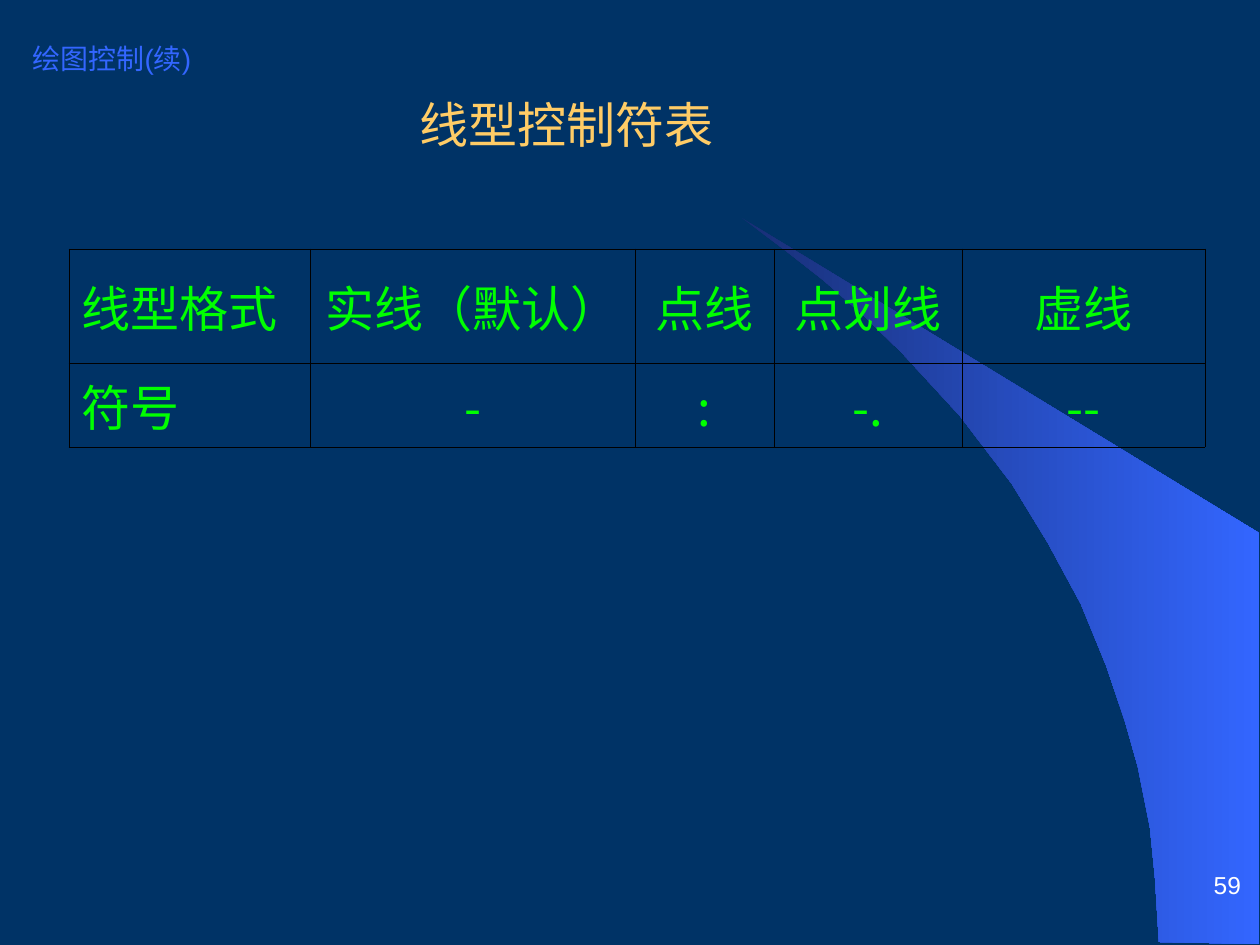
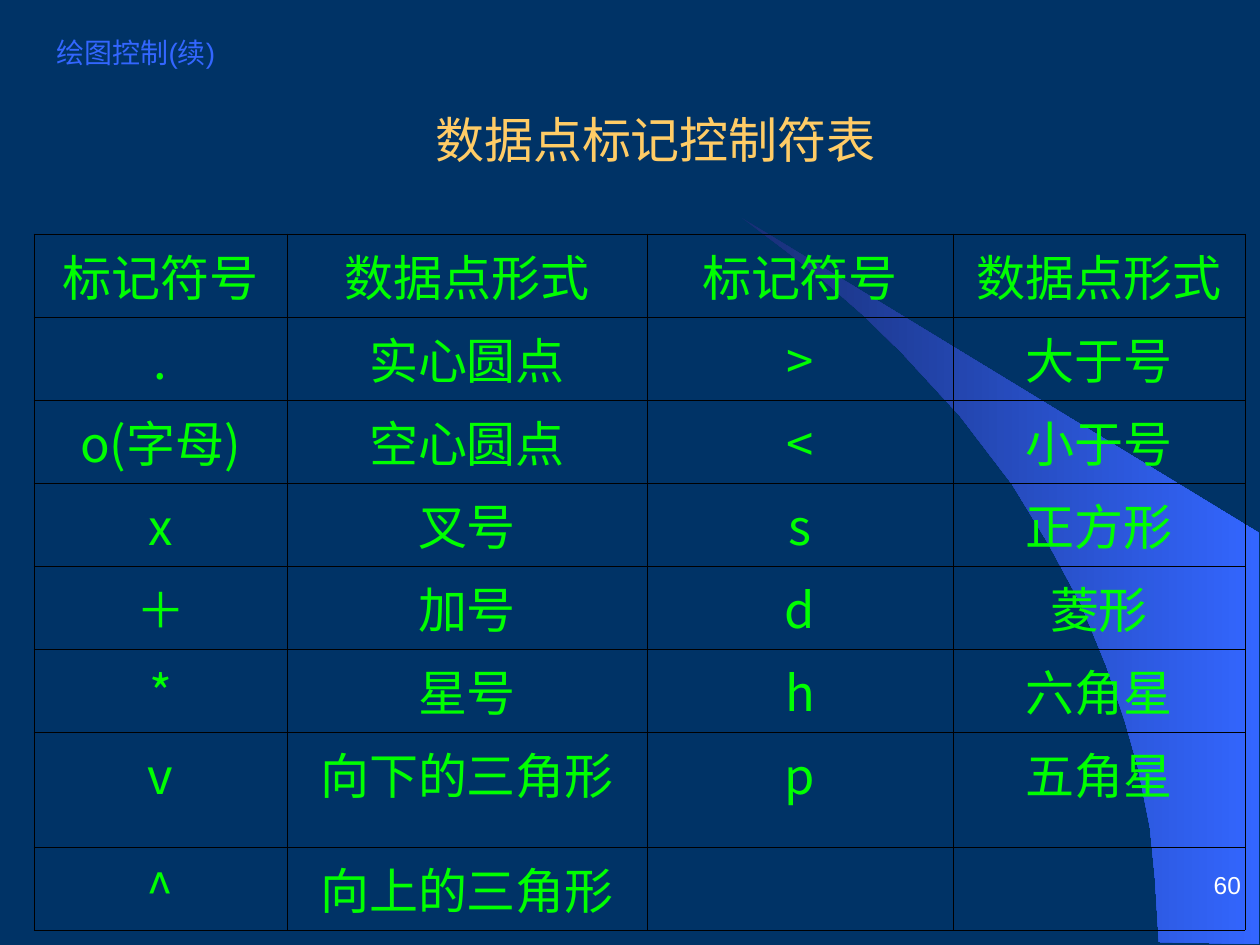
from dataclasses import dataclass

from lxml import etree
from pptx import Presentation
from pptx.dml.color import RGBColor
from pptx.enum.text import MSO_ANCHOR, PP_ALIGN
from pptx.oxml.ns import qn
from pptx.util import Emu, Pt

LEFT, CENTER, RIGHT = PP_ALIGN.LEFT, PP_ALIGN.CENTER, PP_ALIGN.RIGHT
TOP, MIDDLE, BOTTOM = MSO_ANCHOR.TOP, MSO_ANCHOR.MIDDLE, MSO_ANCHOR.BOTTOM


@dataclass(frozen=True)
class Style:
    font: str
    size: int
    color: str


class Theme:
    back = "003366"
    wave = ("182F76", "3366FF")
    grid = "000000"
    rule = Pt(0.45)
    asian = "Noto Sans CJK SC"
    topic = Style("Arial", 16, "3366FF")
    head = Style("Times New Roman", 28, "FFCC66")
    cell = Style("Noto Sans CJK SC", 28, "00FF00")
    page = Style("Arial", 14, "FFFFFF")


TOPIC = "绘图控制(续)"
SLIDES = [
    {
        "topic": (20, 32),
        "head": ("线型控制符表", (304, 95), 0.9),
        "page": "59",
        "table": {
            "at": (69, 249),
            "cols": [241, 325, 139, 188, 243],
            "rows": [114, 84],
            "anchor": MIDDLE,
            "first": LEFT,
            "cells": [
                ["线型格式", "实线（默认）", "点线", "点划线", "虚线"],
                ["符号", "-", ":", "-.", "--"],
            ],
        },
    },
    {
        "topic": (44, 26),
        "head": ("数据点标记控制符表", (393, 115), 0.8),
        "page": "60",
        "table": {
            "at": (34, 234),
            "cols": [253, 360, 306, 292],
            "rows": [83] * 6 + [115, 83],
            "anchor": TOP,
            "first": CENTER,
            "cells": [
                ["标记符号", "数据点形式", "标记符号", "数据点形式"],
                [".", "实心圆点", ">", "大于号"],
                ["o(字母)", "空心圆点", "<", "小于号"],
                ["x", "叉号", "s", "正方形"],
                ["＋", "加号", "d", "菱形"],
                ["*", "星号", "h", "六角星"],
                ["v", "向下的三角形", "p", "五角星"],
                ["^", "向上的三角形", "", ""],
            ],
        },
    },
]

WAVE = [
    (1159, 942), (1259, 944), (1259, 533), (742, 218), (786, 251), (823, 280),
    (863, 315), (902, 353), (960, 416), (1012, 484), (1048, 543), (1081, 604),
    (1106, 665), (1125, 721), (1138, 767), (1150, 827), (1155, 877),
]
WIDE, HIGH = 1260, 945
SCALE = 914400 / 126
TOPIC_SIZE = (1114, 52)
HEAD_SIZE = (525, 66)
PAGE_BOX = (992, 847, 262, 53)


def px(num):
    return Emu(round(num * SCALE))


def rgb(code):
    return RGBColor.from_string(code)


def write(para, text, style, align):
    para.alignment = align
    run = para.add_run()
    run.text = text
    run.font.name = style.font
    run.font.size = Pt(style.size)
    run.font.color.rgb = rgb(style.color)
    asian = etree.SubElement(run.font._element, qn("a:ea"))
    asian.set("typeface", Theme.asian)


def label(slide, box, text, style, align, anchor, pad=(13, 6)):
    frame = slide.shapes.add_textbox(*map(px, box)).text_frame
    frame.word_wrap = True
    frame.vertical_anchor = anchor
    frame.margin_left = frame.margin_right = px(pad[0])
    frame.margin_top = frame.margin_bottom = px(pad[1])
    para = frame.paragraphs[0]
    write(para, text, style, align)
    return para


def border(cell):
    props = cell._tc.get_or_add_tcPr()
    for spot, side in enumerate(("lnL", "lnR", "lnT", "lnB")):
        line = etree.Element(qn("a:" + side), w=str(Theme.rule))
        fill = etree.SubElement(line, qn("a:solidFill"))
        etree.SubElement(fill, qn("a:srgbClr"), val=Theme.grid)
        props.insert(spot, line)


def add_grid(slide, data):
    cols, rows = data["cols"], data["rows"]
    box = (*data["at"], sum(cols), sum(rows))
    table = slide.shapes.add_table(len(rows), len(cols), *map(px, box)).table
    table.first_row = table.horz_banding = False
    for col, width in zip(table.columns, cols):
        col.width = px(width)
    for row, height, texts in zip(table.rows, rows, data["cells"]):
        row.height = px(height)
        for spot, (cell, text) in enumerate(zip(row.cells, texts)):
            cell.fill.background()
            border(cell)
            cell.vertical_anchor = data["anchor"]
            if text:
                align = CENTER if spot else data["first"]
                write(cell.text_frame.paragraphs[0], text, Theme.cell, align)


def add_wave(slide, layout):
    path = slide.shapes.build_freeform(*WAVE[0], scale=SCALE)
    path.add_line_segments(WAVE[1:], close=True)
    wave = path.convert_to_shape()
    wave.shadow.inherit = False
    wave.line.fill.background()
    wave.fill.gradient()
    wave.fill.gradient_angle = 0
    for stop, color in zip(wave.fill.gradient_stops, Theme.wave):
        stop.color.rgb = rgb(color)
    layout.shapes.element.append(wave.element)


def add_slide(deck, layout, data):
    slide = deck.slides.add_slide(layout)
    label(slide, data["topic"] + TOPIC_SIZE, TOPIC, Theme.topic, LEFT, MIDDLE)
    text, spot, space = data["head"]
    head = label(slide, spot + HEAD_SIZE, text, Theme.head, CENTER, TOP, (25, 6))
    head.line_spacing = space
    head.space_before = Pt(7)
    add_grid(slide, data["table"])
    label(slide, PAGE_BOX, data["page"], Theme.page, RIGHT, BOTTOM, (13, 0))
    return slide


def main():
    deck = Presentation()
    deck.slide_width, deck.slide_height = px(WIDE), px(HIGH)
    back = deck.slide_master.background.fill
    back.solid()
    back.fore_color.rgb = rgb(Theme.back)
    layout = deck.slide_layouts[6]
    slides = [add_slide(deck, layout, data) for data in SLIDES]
    add_wave(slides[0], layout)
    deck.save("out.pptx")


if __name__ == "__main__":
    main()
